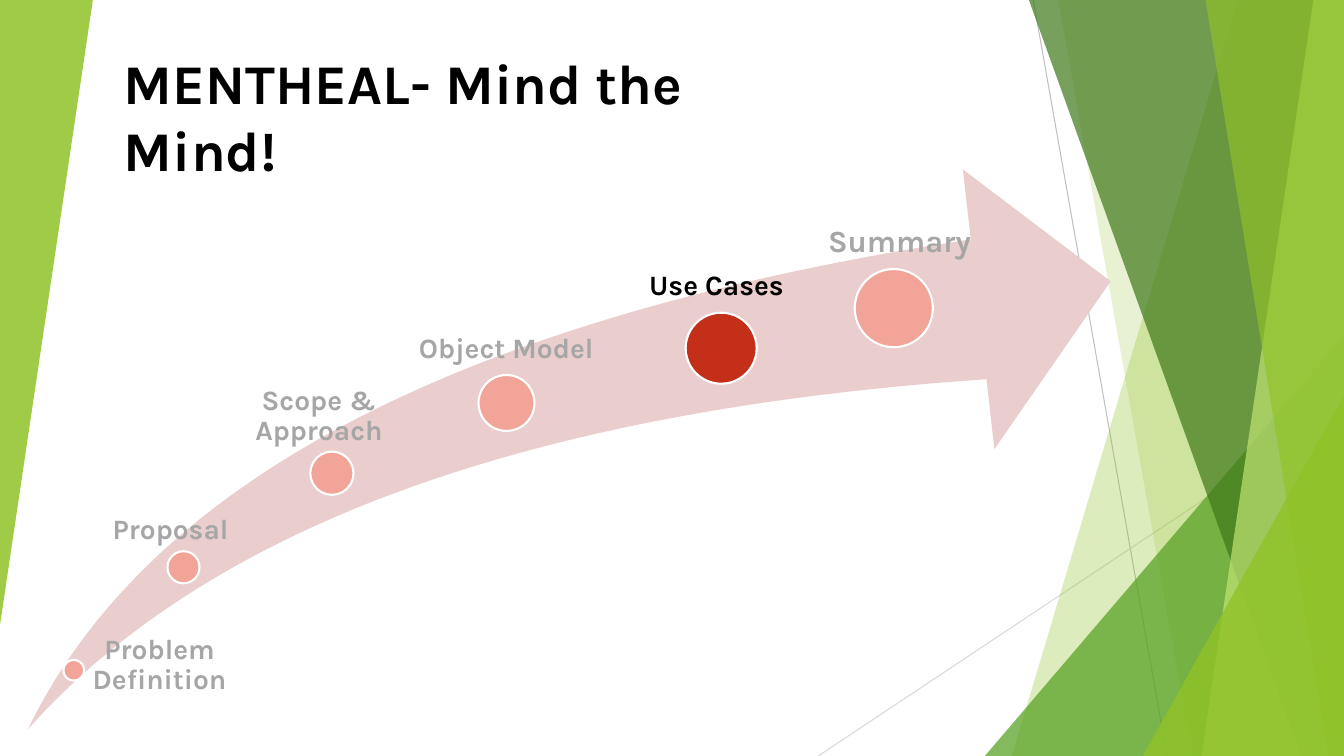
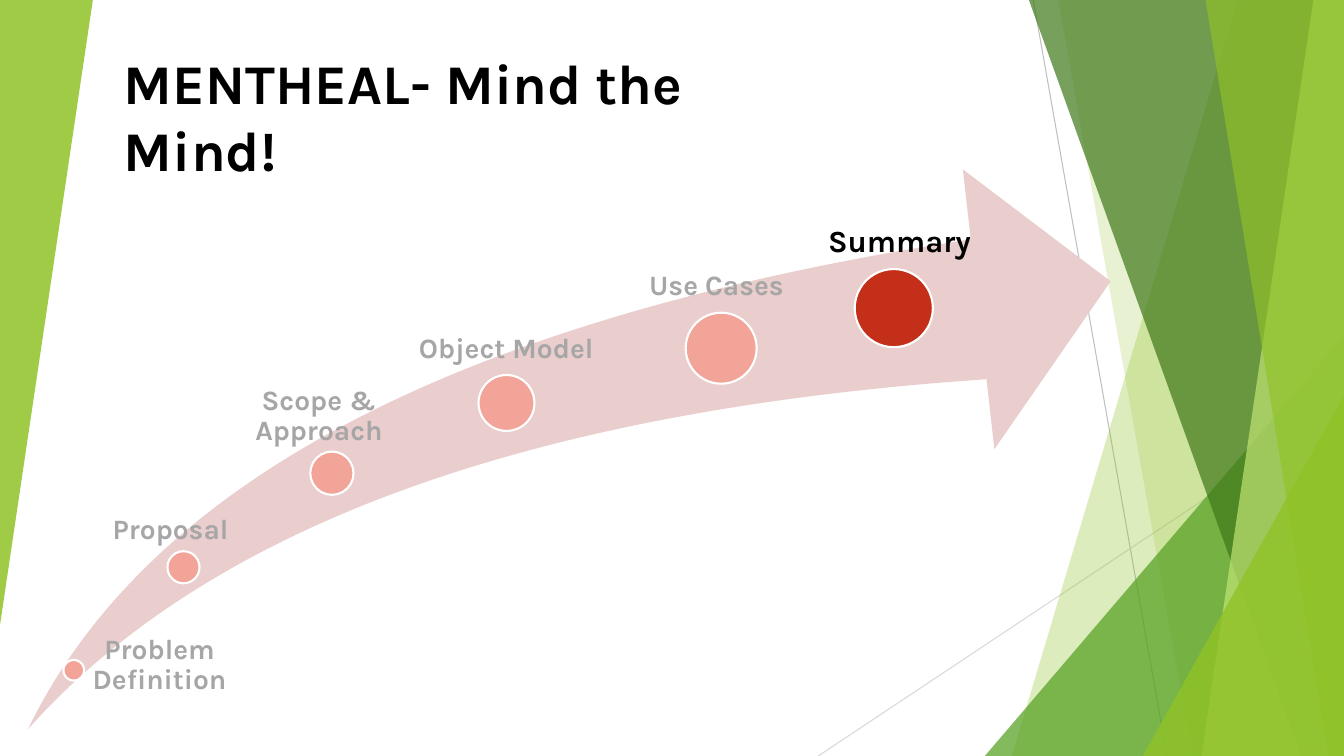
from dataclasses import dataclass

from lxml.etree import SubElement
from pptx import Presentation as Deck
from pptx.dml.color import RGBColor as Rgb
from pptx.enum.shapes import MSO_CONNECTOR as Link, MSO_SHAPE as Form
from pptx.enum.text import MSO_ANCHOR as Anchor, MSO_AUTO_SIZE as Fit, PP_ALIGN as Align
from pptx.oxml.ns import qn
from pptx.util import Cm, Pt

WIDTH, HEIGHT = 33.87, 19.05
FONT = "Karla"
COLORS = {
    "lime": "90C226",
    "leaf": "54A021",
    "forest": "3F7819",
    "pale": "C0E474",
    "silver": "BFBFBF",
    "mist": "D9D9D9",
    "blush": "EACDCD",
    "pink": "F2A499",
    "red": "C42F1A",
    "gray": "A6A6A6",
    "black": "000000",
    "white": "FFFFFF",
}


@dataclass(frozen=True)
class Ray:
    start: tuple[float, float]
    end: tuple[float, float]
    color: str


@dataclass(frozen=True)
class Band:
    head: float
    foot: float
    color: str
    alpha: int


@dataclass(frozen=True)
class Wedge:
    box: tuple[float, float, float, float]
    color: str
    alpha: int
    turn: int = 0


@dataclass(frozen=True)
class Step:
    name: str
    dot: tuple[float, float, float]
    box: tuple[float, float, float, float]
    inset: float
    center: bool = False
    size: int = 20
    top: float = 0
    gap: float = 0.9
    after: int = 7
    grow: bool = False


def corner(left: float, top: float) -> tuple[float, float, float, float]:
    return left, top, WIDTH - left, HEIGHT - top


RAYS = [
    Ray((26.04, 0), (29.41, HEIGHT), "silver"),
    Ray((WIDTH, 10.24), (20.62, HEIGHT), "mist"),
]
PANES = [
    Band(31.19, 25.5, "lime", 30),
    Band(26.67, 30.05, "lime", 20),
    Wedge(corner(24.82, 8.46), "leaf", 72),
    Band(25.93, 32.79, "forest", 70),
    Band(33.1, 30.28, "pale", 70),
    Band(30.38, 33.48, "lime", 65),
    Wedge(corner(28.8, 9.98), "lime", 80),
    Wedge((0, 0, 2.34, 15.75), "lime", 85, 180),
]
STEPS = [
    Step("Problem Definition", (1.6, 16.63, 0.52), (1.22, 16, 5.33, 2.36), 0.28, True),
    Step("Proposal", (4.22, 13.89, 0.81), (2.41, 12.98, 3.68, 1.42), 0.43),
    Step("Scope & Approach", (7.82, 11.38, 1.09), (5.26, 9.73, 5, 1.27), 0.56, True),
    Step("Object Model", (12.06, 9.45, 1.41), (9.65, 8.43, 7.24, 1.85), 0.91),
    Step("Use Cases", (17.28, 7.88, 1.79), (15.65, 6.83, 5, 1.32), 0.71),
    Step("Summary", (21.54, 6.78, 1.97), (20.62, 5.46, 4.29, 1.19), 0.25,
         size=22, top=0.13, gap=1, after=0, grow=True),
]


def tint(name: str) -> Rgb:
    return Rgb.from_string(COLORS[name])


def paint(shape, color: str, alpha: int = 100, edge: str = "") -> None:
    shape.shadow.inherit = False
    shape.fill.solid()
    shape.fill.fore_color.rgb = tint(color)
    if alpha < 100:
        node = shape.fill._xPr.find(qn("a:solidFill"))[0]
        SubElement(node, qn("a:alpha"), val=str(alpha * 1000))
    if edge:
        shape.line.color.rgb = tint(edge)
        shape.line.width = Pt(1.5)
    else:
        shape.line.fill.background()


def write(slide, text: str, box: tuple, *, size: int, color: str = "black",
          inset: float = 0.25, top: float = 0.13, gap: float = 1, after: int = 0,
          center: bool = False, grow: bool = True) -> None:
    frame = slide.shapes.add_textbox(*map(Cm, box)).text_frame
    frame.word_wrap = True
    frame.auto_size = Fit.SHAPE_TO_FIT_TEXT if grow else Fit.NONE
    frame.vertical_anchor = Anchor.TOP
    frame.margin_left = Cm(inset)
    frame.margin_right = Cm(inset if grow else 0)
    frame.margin_top = frame.margin_bottom = Cm(top)
    line = frame.paragraphs[0]
    line.alignment = Align.CENTER if center else Align.LEFT
    line.line_spacing = gap
    line.space_after = Pt(after)
    run = line.add_run()
    run.text = text
    run.font.name = FONT
    run.font.size = Pt(size)
    run.font.bold = True
    run.font.color.rgb = tint(color)


def draw_ray(slide, ray: Ray) -> None:
    line = slide.shapes.add_connector(Link.STRAIGHT, *map(Cm, ray.start + ray.end))
    line.line.color.rgb = tint(ray.color)
    line.line.width = Pt(0.75)
    SubElement(line.element.spPr, qn("a:effectLst"))


def draw_band(slide, band: Band) -> None:
    pen = slide.shapes.build_freeform(Cm(band.head), 0)
    ends = [(WIDTH, 0), (WIDTH, HEIGHT), (band.foot, HEIGHT)]
    pen.add_line_segments([(Cm(x), Cm(y)) for x, y in ends])
    paint(pen.convert_to_shape(), band.color, band.alpha)


def draw_wedge(slide, wedge: Wedge) -> None:
    shape = slide.shapes.add_shape(Form.ISOSCELES_TRIANGLE, *map(Cm, wedge.box))
    shape.adjustments[0] = 1
    shape.rotation = wedge.turn
    paint(shape, wedge.color, wedge.alpha)


def draw_back(slide) -> None:
    for ray in RAYS:
        draw_ray(slide, ray)
    for pane in PANES:
        if isinstance(pane, Band):
            draw_band(slide, pane)
        else:
            draw_wedge(slide, pane)


def share_back(slide, layout) -> None:
    for holder in list(layout.placeholders):
        holder.element.getparent().remove(holder.element)
    draw_back(slide)
    for shape in list(slide.shapes):
        layout.shapes.element.append(shape.element)


def draw_step(slide, step: Step, live: bool) -> None:
    left, top, size = step.dot
    dot = slide.shapes.add_shape(Form.OVAL, Cm(left), Cm(top), Cm(size), Cm(size))
    paint(dot, "red" if live else "pink", edge="white")
    write(slide, step.name, step.box, size=step.size, color="black" if live else "gray",
          inset=step.inset, top=step.top, gap=step.gap, after=step.after,
          center=step.center, grow=step.grow)


def draw_road(slide, live: str) -> None:
    arrow = slide.shapes.add_shape(Form.SWOOSH_ARROW, Cm(0.71), Cm(4.27), Cm(27.28), Cm(14.1))
    arrow.adjustments[0] = arrow.adjustments[1] = 0.25
    paint(arrow, "blush")
    for step in STEPS:
        draw_step(slide, step, step.name == live)
    write(slide, "MENTHEAL- Mind the Mind!", (2.87, 1.09, 18.39, 1.96), size=40)


def main() -> None:
    deck = Deck()
    deck.slide_width, deck.slide_height = Cm(WIDTH), Cm(HEIGHT)
    blank = deck.slide_layouts[6]
    for index, live in enumerate(["Use Cases", "Summary"]):
        slide = deck.slides.add_slide(blank)
        if index == 0:
            share_back(slide, blank)
        draw_road(slide, live)
    deck.save("out.pptx")


if __name__ == "__main__":
    main()
